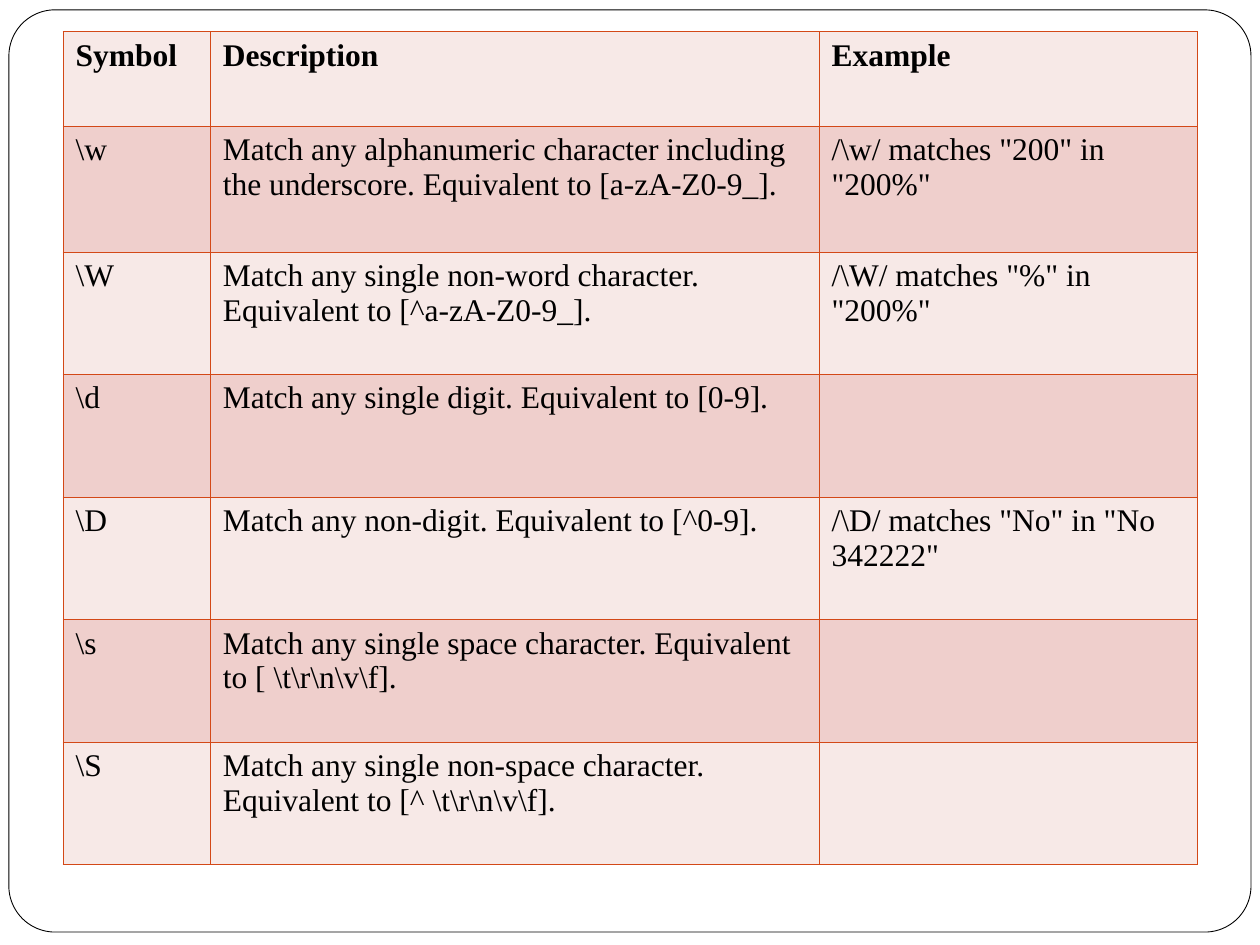
import pptx
import pptx.dml.color
import pptx.enum.shapes
import pptx.oxml
import pptx.oxml.ns
import pptx.util
from pptx.util import Cm

BLACK = pptx.dml.color.RGBColor(0x00, 0x00, 0x00)
WHITE = pptx.dml.color.RGBColor(0xFF, 0xFF, 0xFF)
BORDER = pptx.dml.color.RGBColor(0xD3, 0x48, 0x17)
BANDS = (
    pptx.dml.color.RGBColor(0xF7, 0xE9, 0xE7),
    pptx.dml.color.RGBColor(0xEF, 0xCF, 0xCC),
)
BORDER_WIDTH = pptx.util.Pt(0.45)

COLUMN_WIDTHS = (Cm(2.97), Cm(12.27), Cm(7.62))
ROW_HEIGHTS = (Cm(1.9), Cm(2.54)) + (Cm(2.47),) * 5
ROWS = (
    ("Symbol", "Description", "Example"),
    (
        r"\w",
        "Match any alphanumeric character including the underscore. "
        "Equivalent to [a-zA-Z0-9_].",
        r'/\w/ matches "200" in "200%"',
    ),
    (
        r"\W",
        "Match any single non-word character. Equivalent to [^a-zA-Z0-9_].",
        r'/\W/ matches "%" in "200%"',
    ),
    (r"\d", "Match any single digit. Equivalent to [0-9].", ""),
    (
        r"\D",
        "Match any non-digit. Equivalent to [^0-9].",
        r'/\D/ matches "No" in "No 342222"',
    ),
    (r"\s", r"Match any single space character. Equivalent to [ \t\r\n\v\f].", ""),
    (r"\S", r"Match any single non-space character. Equivalent to [^ \t\r\n\v\f].", ""),
)


def add_frame(slide, left, top, width, height):
    frame = slide.shapes.add_shape(
        pptx.enum.shapes.MSO_SHAPE.ROUNDED_RECTANGLE, left, top, width, height
    )
    frame.adjustments[0] = 0.05
    frame.shadow.inherit = False
    frame.fill.solid()
    frame.fill.fore_color.rgb = WHITE
    frame.line.color.rgb = BLACK
    frame.line.width = pptx.util.Pt(0.5)


def add_borders(cell):
    """Draw all four sides; call before the fill, which must follow them."""
    properties = cell._tc.get_or_add_tcPr()
    for side in ("lnL", "lnR", "lnT", "lnB"):
        properties.append(
            pptx.oxml.parse_xml(
                f'<a:{side} {pptx.oxml.ns.nsdecls("a")} w="{BORDER_WIDTH}">'
                f'<a:solidFill><a:srgbClr val="{BORDER}"/></a:solidFill></a:{side}>'
            )
        )


def format_cell(cell, text, fill_color, bold):
    add_borders(cell)
    cell.fill.solid()
    cell.fill.fore_color.rgb = fill_color
    cell.text = text
    font = cell.text_frame.paragraphs[0].font
    font.name = "Times New Roman"
    font.size = pptx.util.Pt(18)
    font.bold = bold
    font.color.rgb = BLACK


def add_symbol_table(slide, left, top):
    table = slide.shapes.add_table(
        len(ROWS), len(COLUMN_WIDTHS), left, top, sum(COLUMN_WIDTHS), sum(ROW_HEIGHTS)
    ).table
    table.first_row = False
    table.horz_banding = False
    for column, width in zip(table.columns, COLUMN_WIDTHS):
        column.width = width
    for index, (row, height, texts) in enumerate(zip(table.rows, ROW_HEIGHTS, ROWS)):
        row.height = height
        for cell, text in zip(row.cells, texts):
            format_cell(cell, text, BANDS[index % 2], bold=index == 0)


def main():
    presentation = pptx.Presentation()
    presentation.slide_width = Cm(25.4)
    presentation.slide_height = Cm(19.05)
    slide = presentation.slides.add_slide(presentation.slide_layouts[6])
    add_frame(slide, Cm(0.18), Cm(0.2), Cm(25.04), Cm(18.59))
    add_symbol_table(slide, Cm(1.27), Cm(0.64))
    presentation.save("out.pptx")


if __name__ == "__main__":
    main()
